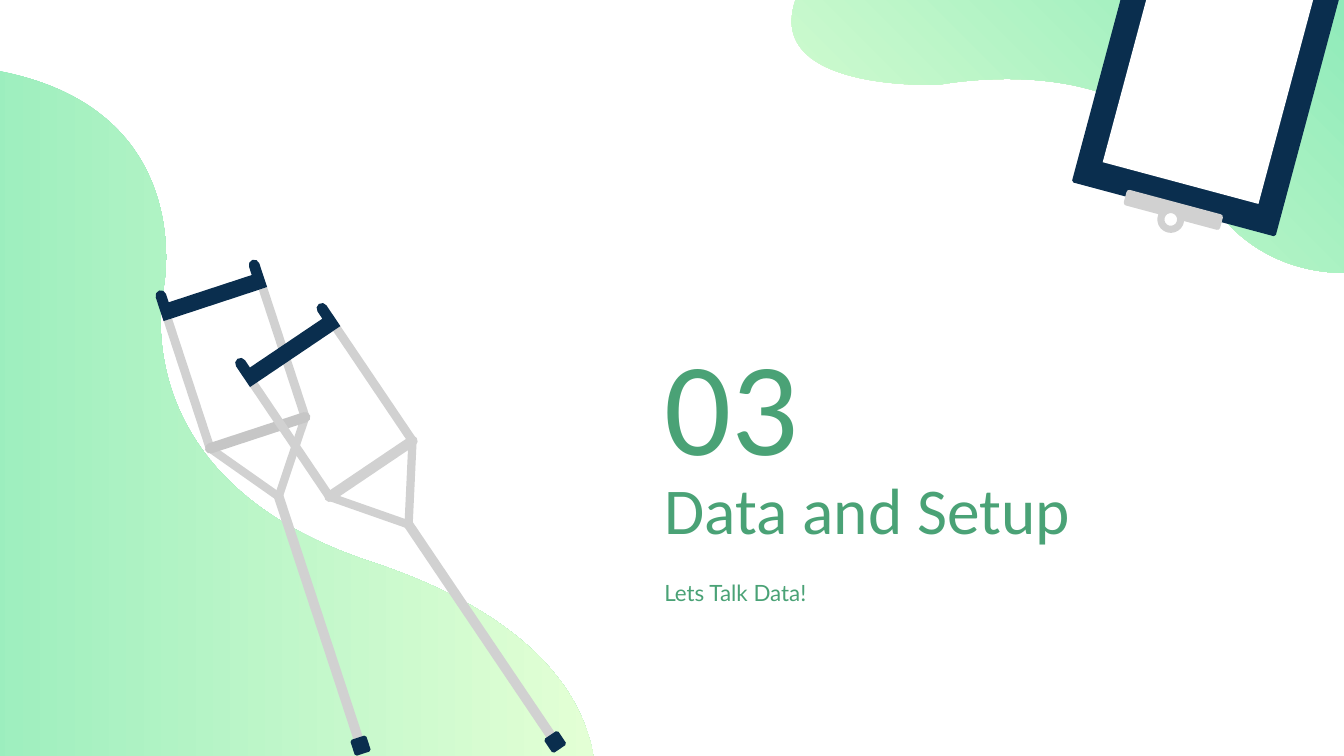
from functools import partial
from math import atan2, ceil, cos, degrees, hypot, radians, sin, tan

from pptx import Presentation
from pptx.dml.color import RGBColor
from pptx.enum.text import MSO_ANCHOR as Anchor, MSO_AUTO_SIZE as AutoSize, PP_ALIGN as Align
from pptx.util import Pt

NAVY, GRAY, DARK_GRAY, WHITE = "0A2E4E", "D1D1D1", "C6C6C6", "FFFFFF"
GREEN, MINT, LIME = "4AA276", "90EBBA", "E3FFD5"


def color(code):
    return RGBColor.from_string(code)


def corners(*points):
    return [(point,) for point in points]


def arc(x, y, radius, start, end):
    count = ceil(abs(end - start) / 90)
    step = radians((end - start) / count)
    handle = 4 / 3 * tan(step / 4)

    def spot(angle, pull=0):
        return (x + radius * (cos(angle) - pull * sin(angle)),
                y + radius * (sin(angle) + pull * cos(angle)))

    angles = [radians(start) + i * step for i in range(count + 1)]
    curves = [(spot(a, handle), spot(b, -handle), spot(b))
              for a, b in zip(angles, angles[1:])]
    return corners(spot(angles[0])) + curves


def turn(contour, origin, angle):
    c, s = cos(radians(angle)), sin(radians(angle))
    return [tuple((origin[0] + x * c - y * s, origin[1] + x * s + y * c)
                  for x, y in segment) for segment in contour]


def measure(start, end):
    dx, dy = end[0] - start[0], end[1] - start[1]
    return hypot(dx, dy), degrees(atan2(dy, dx))


def bar(start, end, width, radius=0):
    length, angle = measure(start, end)
    right, half = length - radius, width / 2 - radius
    contour = []
    for x, y, first in ((right, half, 0), (radius, half, 90),
                        (radius, -half, 180), (right, -half, 270)):
        contour += arc(x, y, radius, first, first + 90) if radius else corners((x, y))
    return turn(contour, start, angle)


def rod(start, end, width):
    length, angle = measure(start, end)
    contour = arc(length, 0, width / 2, -90, 90) + arc(0, 0, width / 2, 90, 270)
    return turn(contour, start, angle)


def bend_lines(shape, contours):
    lines = iter(shape.element.xpath(".//a:lnTo"))
    for contour in contours:
        for segment in contour[1:]:
            first, *others = [next(lines) for point in segment]
            if others:
                first.tag = first.tag.replace("lnTo", "cubicBezTo")
            for other in others:
                first.append(other[0])
                other.getparent().remove(other)


def add_outline(shapes, *contours):
    builder = None
    for contour in contours:
        points = [(Pt(x), Pt(y)) for segment in contour for x, y in segment]
        if builder is None:
            builder = shapes.build_freeform(*points[0])
        else:
            builder.move_to(*points[0])
        builder.add_line_segments(points[1:], close=False)
        builder.add_line_segments([], close=True)
    shape = builder.convert_to_shape()
    for extra in shape.element.xpath(".//a:lnTo[following-sibling::*[1][self::a:lnTo]]")[:0]:
        extra.getparent().remove(extra)
    bend_lines(shape, contours)
    shape.shadow.inherit = False
    shape.line.fill.background()
    return shape


def add_solid(shapes, origin, angle, code, *contours):
    shape = add_outline(shapes, *(turn(contour, origin, angle) for contour in contours))
    shape.fill.solid()
    shape.fill.fore_color.rgb = color(code)


def add_blob(page, contour, colors, angle):
    shape = add_outline(page.shapes, contour)
    shape.fill.gradient()
    shape.fill.gradient_angle = angle
    for stop, code in zip(shape.fill.gradient_stops, colors):
        stop.color.rgb = color(code)


def add_crutch(shapes, origin, angle, brace_color):
    draw = partial(add_solid, shapes, origin, angle)
    side, top, middle, foot = 26.8, -106.6, -34, 142.4
    for x in (side, -side):
        draw(GRAY, bar((x, top), (x, middle), 4.7))
    draw(GRAY, bar((0, 0), (0, foot), 5.2))
    left_horn, right_horn = (arc(x, -120, 2.9, 180, 360) for x in (-26.3, 26.3))
    draw(NAVY, corners((-29.2, top)) + left_horn
         + corners((-23.4, -115.3), (23.4, -115.3)) + right_horn + corners((29.2, top)))
    for x in (side, -side):
        draw(GRAY, rod((x, middle), (0, 2), 4.4))
    draw(brace_color, rod((-side, middle), (side, middle), 5.6))
    draw(NAVY, bar((0, foot - 4.5), (0, foot + 4.5), 9, 1))


def add_clipboard(shapes, origin, angle):
    draw = partial(add_solid, shapes, origin, angle)
    draw(NAVY, bar((0, -68.4), (0, 68.4), 113, 1))
    draw(WHITE, bar((0, -60), (0, 53.8), 86.4))
    clip = (arc(-25.2, 65.9, 1.5, 180, 270) + arc(25.2, 65.9, 1.5, 270, 360)
            + arc(25.2, 71.5, 1.5, 0, 90) + arc(0, 74, 7.2, -8, 188)
            + arc(-25.2, 71.5, 1.5, 90, 180))
    draw(GRAY, clip, arc(0, 74, 3.4, 360, 0))


def write_text(box, bounds, text, size, font, anchor=Anchor.TOP):
    box.left, box.top, box.width, box.height = map(Pt, bounds)
    frame = box.text_frame
    frame.word_wrap = True
    frame.auto_size = AutoSize.NONE
    frame.vertical_anchor = anchor
    frame.margin_left = frame.margin_right = Pt(7.2)
    frame.margin_top = frame.margin_bottom = Pt(7.2)
    para = frame.paragraphs[0]
    para.alignment = Align.LEFT
    span = para.add_run()
    span.text = text
    span.font.size = Pt(size)
    span.font.name = font
    span.font.color.rgb = color(GREEN)


def add_text(page, bounds, *style):
    write_text(page.shapes.add_textbox(*map(Pt, bounds)), bounds, *style)


def main():
    deck = Presentation()
    deck.slide_width, deck.slide_height = Pt(720), Pt(405)
    page = deck.slides.add_slide(deck.slide_layouts[5])

    add_blob(page, [((318, 406),),
                    ((314, 380), (294, 332.6), (198.7, 301)),
                    ((63.4, 256.3), (87.8, 153.4), (87.8, 153.4)),
                    ((87.8, 153.4), (112.3, 26), (-62, 34.6)),
                    ((-62, 405.5),)], (MINT, LIME), 0)
    add_blob(page, [((720, 146.2),),
                    ((697.7, 146.2), (660.2, 137.5), (639.4, 92.2)),
                    ((609.1, 24.5), (503.3, 45.4), (503.3, 45.4)),
                    ((503.3, 45.4), (409, 49.7), (426.2, 0)),
                    ((720, 0),)], (LIME, MINT), 45)

    write_text(page.shapes.title, (348.8, 244.1, 314.6, 48.2),
               "Data and Setup", 35, "Calibri")
    add_text(page, (348.8, 165.6, 314.6, 75.6), "03", 71, "Calibri")
    add_text(page, (348.8, 306, 314.6, 23), "Lets Talk Data!", 12, "Lato", Anchor.MIDDLE)

    crutches = page.shapes.add_group_shape().shapes
    add_crutch(crutches, (148.7, 264.2), -18.2, DARK_GRAY)
    add_crutch(crutches, (217.8, 279.4), -34, GRAY)
    add_clipboard(page.shapes.add_group_shape().shapes, (646.4, 46.1), 15)
    deck.save("out.pptx")


if __name__ == "__main__":
    main()
